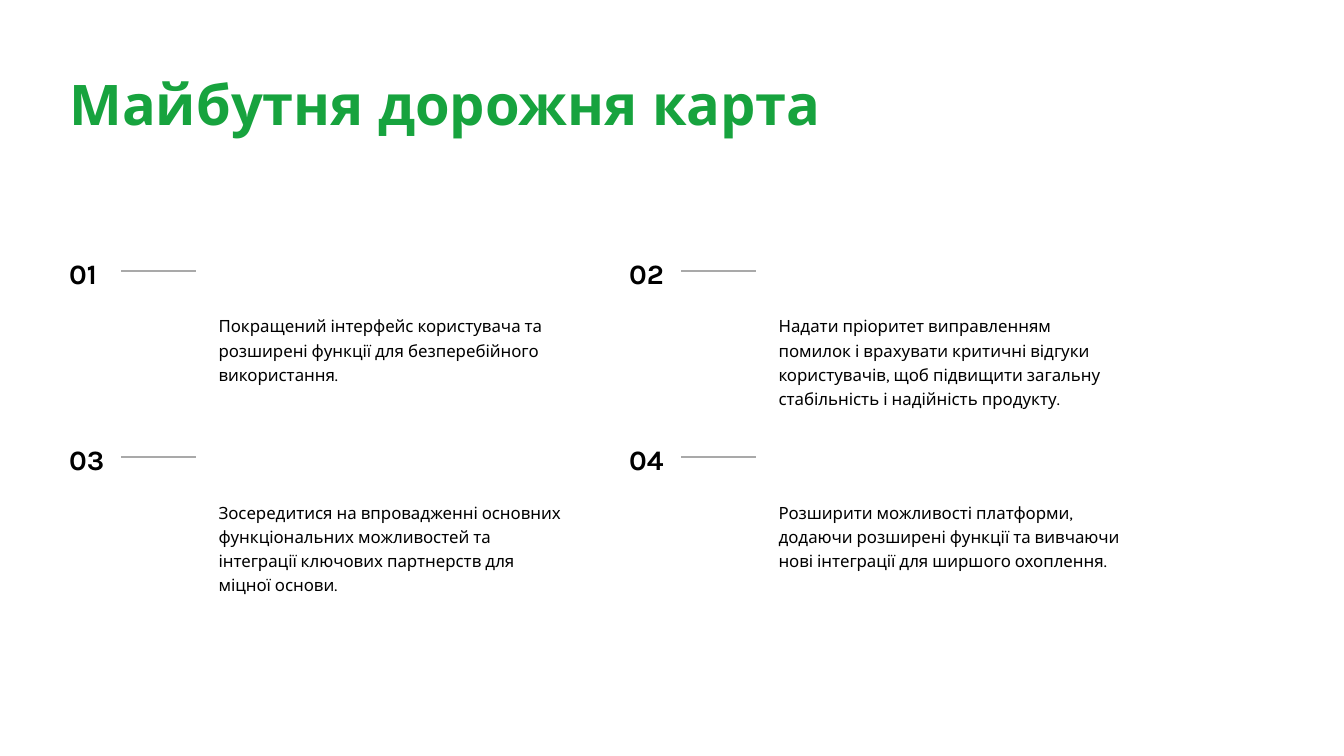
from dataclasses import dataclass

from pptx import Presentation
from pptx.dml.color import RGBColor as Color
from pptx.enum.shapes import MSO_CONNECTOR as Connector
from pptx.enum.text import MSO_ANCHOR as Anchor
from pptx.oxml.ns import qn
from pptx.util import Pt


@dataclass(frozen=True)
class Theme:
    """Colours, font and type sizes of the deck."""
    font: str = "Karla"
    heading: str = "17A33E"
    ink: str = "000000"
    rule: str = "A9A9A9"
    title_size: float = 30
    number_size: float = 15
    body_size: float = 9
    inset: float = 7.2


class SlideBuilder:
    """Draws styled elements on the current slide."""

    def __init__(self, slide, theme):
        self.slide = slide
        self.theme = theme

    def text(self, content, left, top, width, height, size, color=None,
             bold=False, anchor=Anchor.TOP, spacing=None):
        """Add a wrapped text box with one paragraph."""
        box = self.slide.shapes.add_textbox(Pt(left), Pt(top), Pt(width), Pt(height))
        frame = box.text_frame
        frame.word_wrap = True
        frame.vertical_anchor = anchor
        frame.margin_left = frame.margin_right = Pt(self.theme.inset)
        frame.margin_top = frame.margin_bottom = Pt(self.theme.inset)
        para = frame.paragraphs[0]
        para.text = content
        para.line_spacing = spacing
        para.font.name = self.theme.font
        para.font.size = Pt(size)
        para.font.bold = bold
        para.font.color.rgb = Color.from_string(color or self.theme.ink)

    def title(self, content):
        """Add the slide heading."""
        self.text(content, 30, 40.3, 650, 40.3, self.theme.title_size,
                  self.theme.heading, bold=True, anchor=Anchor.BOTTOM)

    def rule(self, left, top, width):
        """Add a thin horizontal line."""
        line = self.slide.shapes.add_connector(
            Connector.STRAIGHT, Pt(left), Pt(top), Pt(left + width), Pt(top))
        line.line.color.rgb = Color.from_string(self.theme.rule)
        line.line.width = Pt(1)
        properties = line._element.spPr
        properties.append(properties.makeelement(qn("a:effectLst"), {}))

    def milestone(self, number, content, left, top):
        """Add a number, its line and its description."""
        self.text(f"{number:02d}", left, top, 35.2, 30,
                  self.theme.number_size, bold=True)
        self.rule(left + 35, top + 14.8, 40)
        self.text(content, left + 80, top + 29.8, 200, 30,
                  self.theme.body_size, spacing=1.2)


MILESTONES = (
    "Покращений інтерфейс користувача та розширені функції для безперебійного використання.",
    "Надати пріоритет виправленням помилок і врахувати критичні відгуки користувачів, "
    "щоб підвищити загальну стабільність і надійність продукту.",
    "Зосередитися на впровадженні основних функціональних можливостей та інтеграції "
    "ключових партнерств для міцної основи.",
    "Розширити можливості платформи, додаючи розширені функції та вивчаючи нові "
    "інтеграції для ширшого охоплення.",
)


def main():
    """Build and save the roadmap slide."""
    deck = Presentation()
    deck.slide_width, deck.slide_height = Pt(720), Pt(405)
    page = SlideBuilder(deck.slides.add_slide(deck.slide_layouts[6]), Theme())
    page.title("Майбутня дорожня карта")
    for index, content in enumerate(MILESTONES):
        row, column = divmod(index, 2)
        page.milestone(index + 1, content, 30 + 300 * column, 130.2 + 99.8 * row)
    deck.save("out.pptx")


if __name__ == "__main__":
    main()
